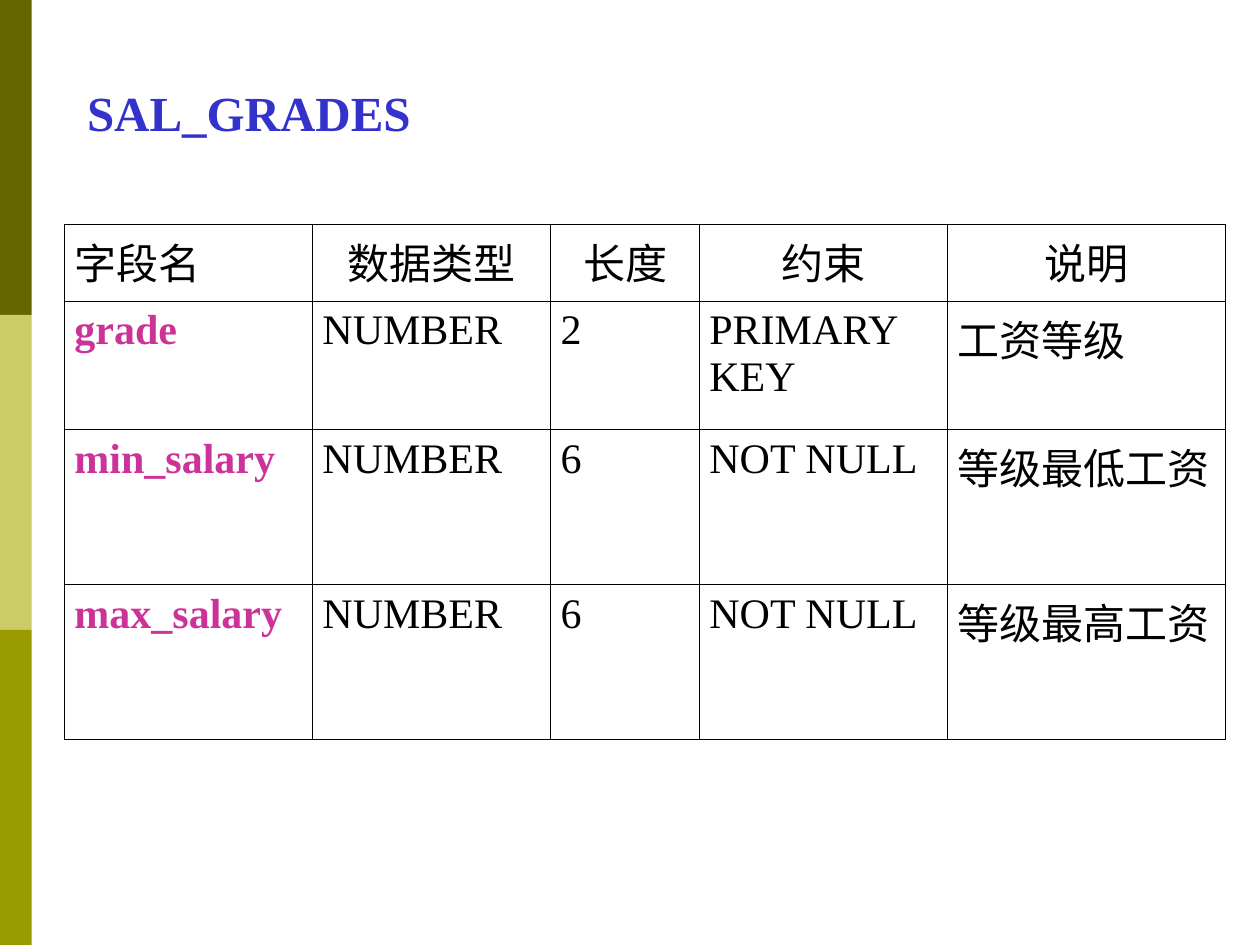
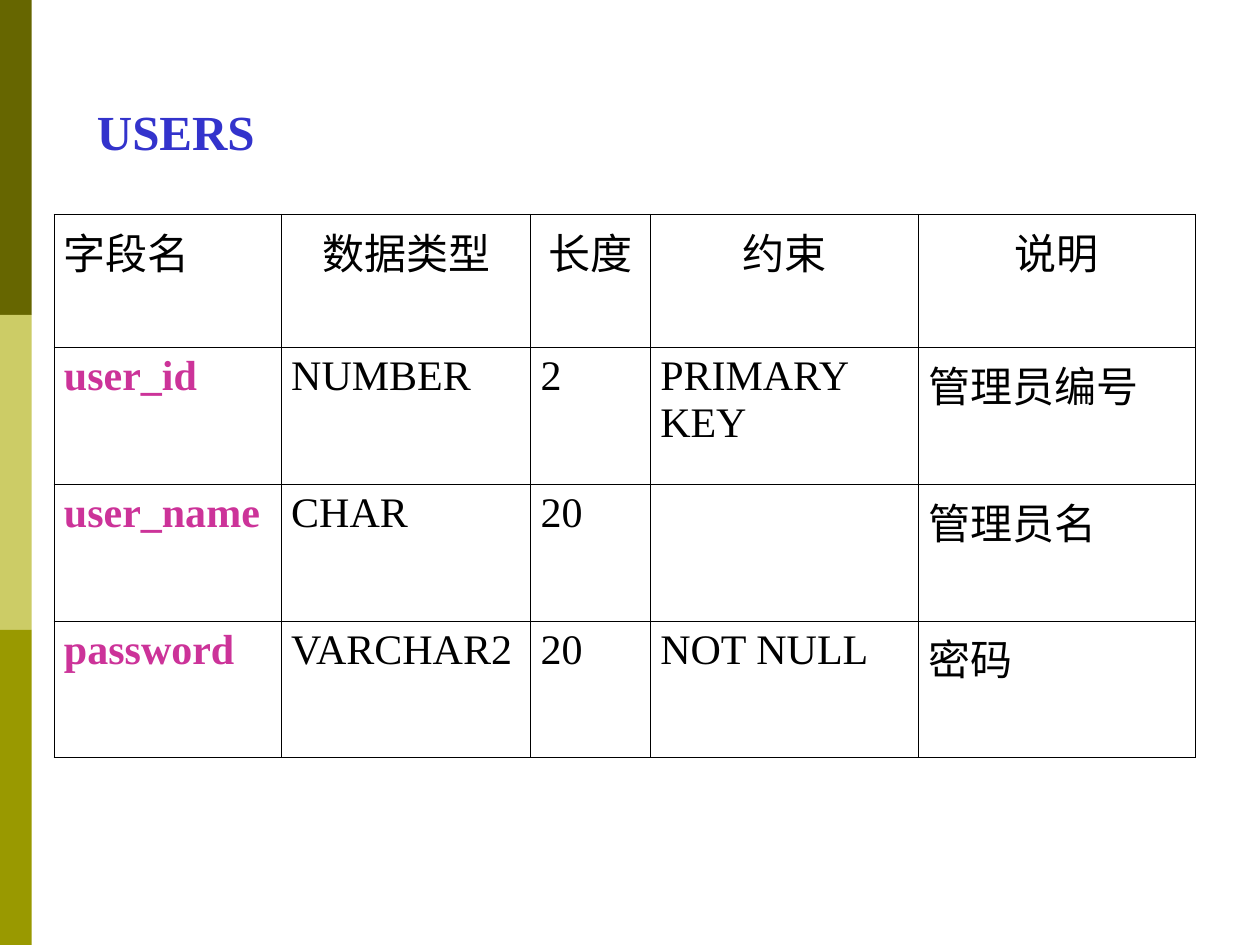
import pptx
import pptx.dml.color
import pptx.enum.shapes
import pptx.enum.text
import pptx.oxml.ns
import pptx.util
from lxml import etree

Cm, Pt = pptx.util.Cm, pptx.util.Pt
RGBColor = pptx.dml.color.RGBColor
Align = pptx.enum.text.PP_ALIGN

# Shared style
FONT = "Times New Roman"
TITLE_BLUE = RGBColor(0x33, 0x33, 0xCC)
FIELD_PINK = RGBColor(0xCC, 0x33, 0x99)
BLACK = RGBColor(0, 0, 0)
BAND_COLOURS = [
    RGBColor(0x66, 0x66, 0x00),
    RGBColor(0xCC, 0xCC, 0x66),
    RGBColor(0x99, 0x99, 0x00),
]
BAND_WIDTH, BAND_HEIGHT = 0.64, 6.35
HEADER = ["字段名", "数据类型", "长度", "约束", "说明"]

# Content and layout of each slide, lengths in centimetres
PAGES = [
    {
        "title": "SAL_GRADES",
        "title_box": (1.5, 1.53, 7.2, 1.45),
        "table_corner": (1.3, 4.52),
        "columns": [5, 4.8, 3, 5, 5.6],
        "rows": [1.55, 2.59, 3.12, 3.12],
        "fields": [
            ["grade", "NUMBER", "2", "PRIMARY KEY", "工资等级"],
            ["min_salary", "NUMBER", "6", "NOT NULL", "等级最低工资"],
            ["max_salary", "NUMBER", "6", "NOT NULL", "等级最高工资"],
        ],
    },
    {
        "title": "USERS",
        "title_box": (1.7, 1.92, 4, 1.45),
        "table_corner": (1.09, 4.32),
        "columns": [4.58, 5.03, 2.41, 5.4, 5.59],
        "rows": [2.68, 2.76, 2.76, 2.76],
        "fields": [
            ["user_id", "NUMBER", "2", "PRIMARY KEY", "管理员编号"],
            ["user_name", "CHAR", "20", "", "管理员名"],
            ["password", "VARCHAR2", "20", "NOT NULL", "密码"],
        ],
    },
]


def set_font(paragraph, size, colour, bold):
    paragraph.font.name = FONT
    paragraph.font.size = Pt(size)
    paragraph.font.bold = bold
    paragraph.font.color.rgb = colour


def add_borders(cell):
    properties = cell._tc.get_or_add_tcPr()
    for side in ("lnL", "lnR", "lnT", "lnB"):
        line = etree.SubElement(properties, pptx.oxml.ns.qn(f"a:{side}"), w=str(Pt(0.45)))
        fill = etree.SubElement(line, pptx.oxml.ns.qn("a:solidFill"))
        etree.SubElement(fill, pptx.oxml.ns.qn("a:srgbClr"), val=str(BLACK))


deck = pptx.Presentation()
deck.slide_width, deck.slide_height = Cm(25.4), Cm(19.05)
title_only = deck.slide_layouts.get_by_name("Title Only")

for content in PAGES:
    page = deck.slides.add_slide(title_only)

    # Side bands
    for index, colour in enumerate(BAND_COLOURS):
        band = page.shapes.add_shape(
            pptx.enum.shapes.MSO_SHAPE.RECTANGLE,
            0, Cm(index * BAND_HEIGHT), Cm(BAND_WIDTH), Cm(BAND_HEIGHT))
        band.shadow.inherit = False
        band.fill.solid()
        band.fill.fore_color.rgb = colour
        band.line.fill.background()

    # Title
    title = page.shapes.title
    title.left, title.top, title.width, title.height = map(Cm, content["title_box"])
    frame = title.text_frame
    frame.text = content["title"]
    frame.word_wrap = False
    frame.auto_size = pptx.enum.text.MSO_AUTO_SIZE.NONE
    frame.vertical_anchor = pptx.enum.text.MSO_ANCHOR.TOP
    frame.paragraphs[0].alignment = Align.LEFT
    set_font(frame.paragraphs[0], 28, TITLE_BLUE, True)

    # Field table
    columns, rows = content["columns"], content["rows"]
    left, top = content["table_corner"]
    table = page.shapes.add_table(
        len(rows), len(columns),
        Cm(left), Cm(top), Cm(sum(columns)), Cm(sum(rows))).table
    table.first_row = table.horz_banding = False
    for column, width in zip(table.columns, columns):
        column.width = Cm(width)
    for row, height in zip(table.rows, rows):
        row.height = Cm(height)

    for row_index, texts in enumerate([HEADER] + content["fields"]):
        for column_index, text in enumerate(texts):
            is_header = row_index == 0
            is_field_name = column_index == 0 and not is_header
            cell = table.cell(row_index, column_index)
            cell.text = text
            cell.margin_left = cell.margin_right = Cm(0.2)
            add_borders(cell)
            cell.fill.background()
            para = cell.text_frame.paragraphs[0]
            para.alignment = Align.CENTER if is_header and column_index else Align.JUSTIFY
            set_font(para, 24, FIELD_PINK if is_field_name else BLACK, is_field_name)

deck.save("out.pptx")
